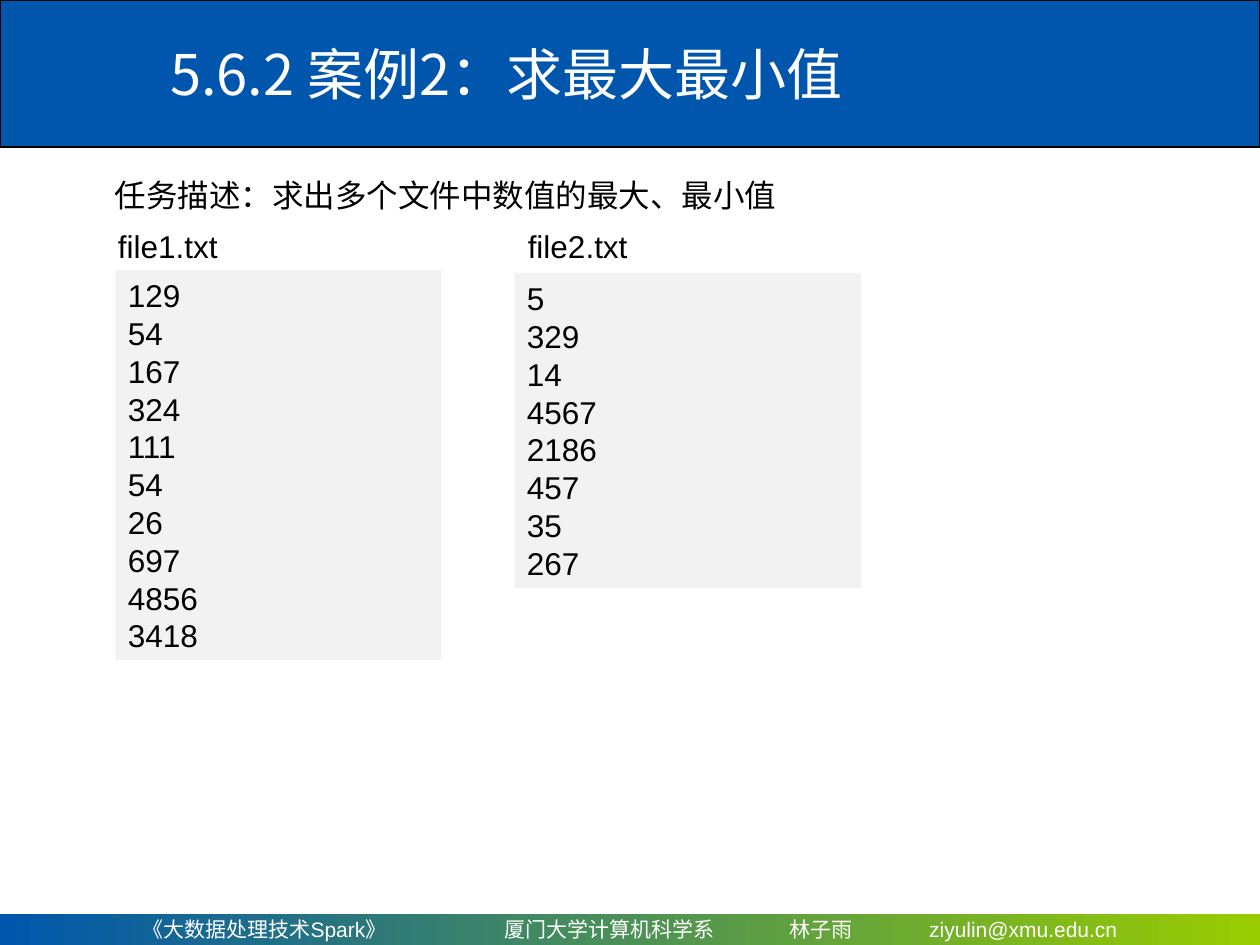
from pptx import Presentation
from pptx.dml.color import RGBColor
from pptx.enum.shapes import MSO_SHAPE
from pptx.enum.text import MSO_ANCHOR, PP_ALIGN
from pptx.oxml import parse_xml
from pptx.oxml.ns import nsdecls
from pptx.util import Pt

RECT = MSO_SHAPE.RECTANGLE
MIDDLE, TOP = MSO_ANCHOR.MIDDLE, MSO_ANCHOR.TOP
LEFT = PP_ALIGN.LEFT
HEX = {"blue": "0056AC", "green": "99CC00", "gray": "F2F2F2", "white": "FFFFFF", "black": "000000"}
COLOR = {name: RGBColor.from_string(code) for name, code in HEX.items()}
LATIN, HAN = "Arial", "Noto Sans CJK SC"


def add_rect(left, top, width, height):
    box = slide.shapes.add_shape(RECT, Pt(left), Pt(top), Pt(width), Pt(height))
    box.shadow.inherit = False
    box.line.fill.background()
    return box


def write(frame, text, size, color, face=LATIN):
    frame.text = text
    for para in frame.paragraphs:
        para.alignment = LEFT
        para.font.size = Pt(size)
        para.font.name = face
        para.font.color.rgb = COLOR[color]


deck = Presentation()
deck.slide_width, deck.slide_height = Pt(720), Pt(540)
slide = deck.slides.add_slide(deck.slide_layouts[5])

band = add_rect(0, 0, 720, 84)
band.fill.solid()
band.fill.fore_color.rgb = COLOR["blue"]
band.line.color.rgb = COLOR["black"]
band.line.width = Pt(0.75)

foot = add_rect(0, 522, 720, 18)
foot.fill.gradient()
foot.fill.gradient_angle = 0
for stop, name in zip(foot.fill.gradient_stops, ("blue", "green")):
    stop.color.rgb = COLOR[name]
frame = foot.text_frame
frame.margin_left = Pt(81.5)
frame.vertical_anchor = MIDDLE
frame.word_wrap = False
parts = ["《大数据处理技术Spark》", "厦门大学计算机科学系", "林子雨", "ziyulin@xmu.edu.cn"]
frame.text = "\t".join(parts)
para = frame.paragraphs[0]
para.alignment = LEFT
stops = "".join(f'<a:tab pos="{Pt(pos)}" algn="l"/>' for pos in (207, 369.5, 449.5))
para._p.get_or_add_pPr().append(parse_xml(f"<a:tabLst {nsdecls('a')}>{stops}</a:tabLst>"))
para.font.size = Pt(12)
para.font.name = LATIN
para.font.color.rgb = COLOR["white"]

title = slide.shapes.title
slide.shapes._spTree.append(title._element)
title.left, title.top, title.width, title.height = Pt(90), Pt(6), Pt(630), Pt(72)
title.text_frame.vertical_anchor = MIDDLE
write(title.text_frame, "5.6.2 案例2：求最大最小值", 32, "white", HAN)

files = [
    (66, 154.3, 186, 223, "129 54 167 324 111 54 26 697 4856 3418"),
    (294, 156, 198, 180, "5 329 14 4567 2186 457 35 267"),
]
for left, top, width, height, nums in files:
    box = add_rect(left, top, width, height)
    box.fill.solid()
    box.fill.fore_color.rgb = COLOR["gray"]
    box.text_frame.vertical_anchor = TOP
    write(box.text_frame, "\n".join(nums.split()), 18, "black")

labels = [
    (60.3, 126, 76, "file1.txt", LATIN),
    (294.5, 126, 76, "file2.txt", LATIN),
    (58.5, 97, 400, "任务描述：求出多个文件中数值的最大、最小值", HAN),
]
for left, top, width, text, face in labels:
    label = slide.shapes.add_textbox(Pt(left), Pt(top), Pt(width), Pt(29))
    label.text_frame.word_wrap = False
    write(label.text_frame, text, 18, "black", face)

deck.save("out.pptx")
